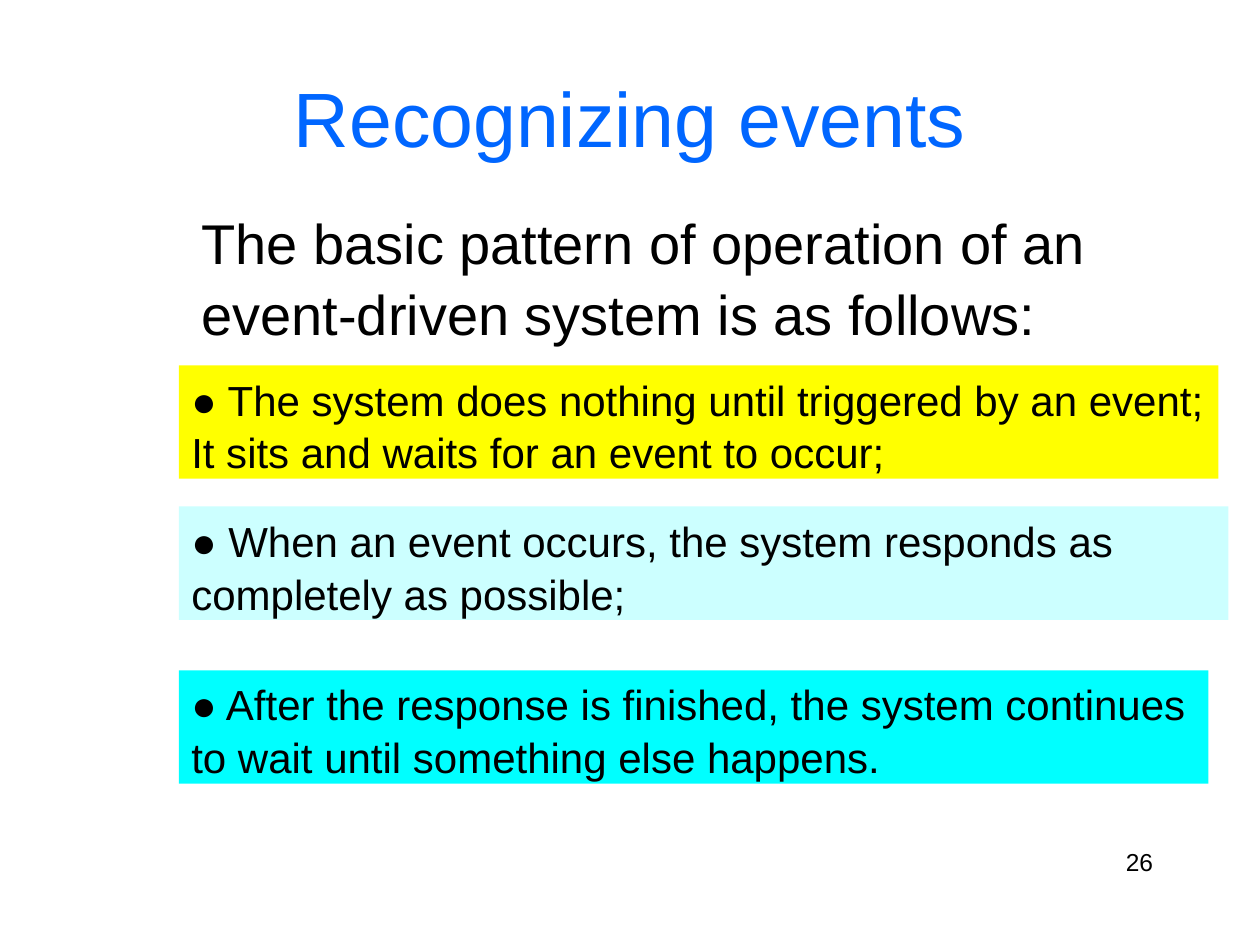
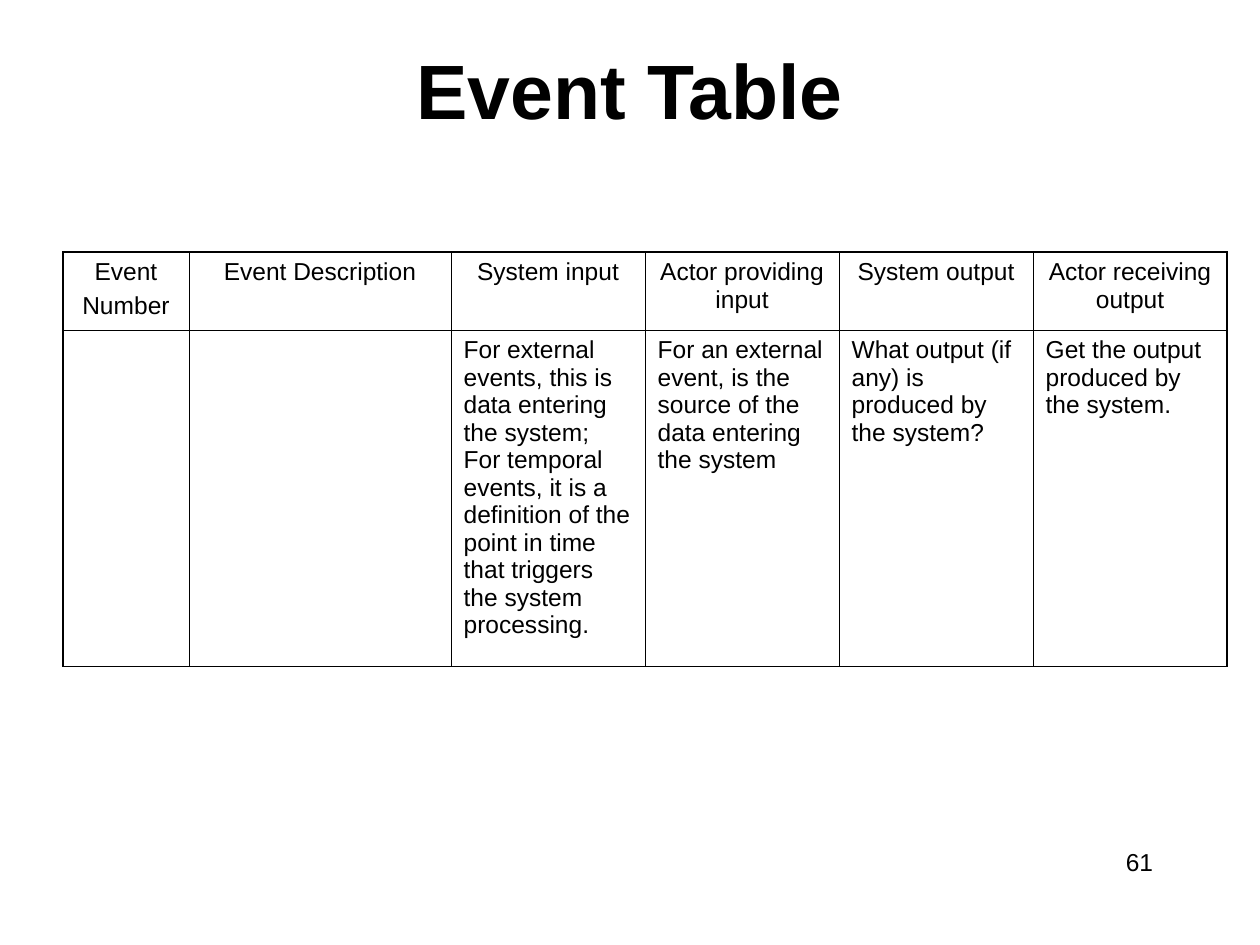
"""Build two slides on recognizing events and the event table."""
from lxml import etree
from pptx import Presentation
from pptx import util as u
from pptx.dml.color import RGBColor
from pptx.enum import shapes, text
from pptx.oxml.ns import qn

FONT = "Arial"
COLORS = {
    "ink": "000000",
    "heading": "0066FF",
    "waiting": "FFFF00",
    "responding": "CCFFFF",
    "resuming": "00FFFF",
}
ALIGN = text.PP_ALIGN
ANCHOR = text.MSO_ANCHOR
OUTER_LINE, INNER_LINE = 1.08, 0.45

STEPS = [
    (2.9, 8.25, "waiting", "● The system does nothing until triggered by an event; "
     "It sits and waits for an event to occur;"),
    (4.02, 8.33, "responding", "● When an event occurs, the system responds as "
     "completely as possible;"),
    (5.32, 8.17, "resuming", "● After the response is finished, the system continues "
     "to wait until something else happens."),
]
COLUMN_WIDTHS = [1, 2.08] + [1.54] * 4
ROW_HEIGHTS = [0.62, 2.67]
EVENT_ROWS = [
    ["Event\nNumber", "Event Description", "System input",
     "Actor providing input", "System output", "Actor receiving output"],
    ["", "",
     "For external events, this is data entering the system; For temporal events, "
     "it is a definition of the point in time that triggers the system processing.",
     "For an external event, is the source of the data entering the system",
     "What output (if any) is produced by the system?",
     "Get the output produced by the system."],
]


def write(frame, content, size=14, color="ink", bold=False, align=ALIGN.LEFT,
          anchor=ANCHOR.TOP, before=0, spacing=1.0):
    """Fill a text frame with one paragraph for each line of content."""
    frame.word_wrap = True
    frame.vertical_anchor = anchor
    for index, line in enumerate(content.split("\n")):
        para = frame.paragraphs[0] if index == 0 else frame.add_paragraph()
        para.alignment = align
        para.space_before = u.Pt(before)
        para.line_spacing = spacing
        span = para.add_run()
        span.text = line
        span.font.name = FONT
        span.font.size = u.Pt(size)
        span.font.bold = bold
        span.font.color.rgb = RGBColor.from_string(COLORS[color])


def add_page(deck, title, title_area, number, **title_format):
    """Add a page with its title and page number."""
    page = deck.slides.add_slide(deck.slide_layouts[5])
    heading = page.shapes.title
    heading.left, heading.top, heading.width, heading.height = map(u.Inches, title_area)
    heading.text_frame.auto_size = text.MSO_AUTO_SIZE.NONE
    write(heading.text_frame, title, size=44, align=ALIGN.CENTER,
          anchor=ANCHOR.MIDDLE, **title_format)
    add_text(page, str(number), (6.92, 6.67, 2.33, 0.52), align=ALIGN.RIGHT)
    return page


def add_text(page, content, area, **text_format):
    """Add a plain text box."""
    box = page.shapes.add_textbox(*map(u.Inches, area))
    write(box.text_frame, content, **text_format)


def add_step(page, top, width, color, content):
    """Add a coloured band that holds one step of the pattern."""
    band = page.shapes.add_shape(
        shapes.MSO_SHAPE.RECTANGLE,
        u.Inches(1.42), u.Inches(top), u.Inches(width), u.Inches(0.9))
    band.shadow.inherit = False
    band.fill.solid()
    band.fill.fore_color.rgb = RGBColor.from_string(COLORS[color])
    band.line.fill.background()
    write(band.text_frame, content, size=24, spacing=1.05)


def set_borders(cell, **widths):
    """Draw the cell's borders, with widths in points by side: L, R, T, B."""
    properties = cell._tc.get_or_add_tcPr()
    for index, (side, width) in enumerate(widths.items()):
        line = etree.Element(qn(f"a:ln{side}"), w=str(int(u.Pt(width))))
        fill = etree.SubElement(line, qn("a:solidFill"))
        etree.SubElement(fill, qn("a:srgbClr"), val=COLORS["ink"])
        properties.insert(index, line)


def add_event_table(page):
    """Add the event table with a heavier outer frame."""
    table = page.shapes.add_table(
        len(ROW_HEIGHTS), len(COLUMN_WIDTHS), u.Inches(0.5), u.Inches(2),
        u.Inches(sum(COLUMN_WIDTHS)), u.Inches(sum(ROW_HEIGHTS))).table
    table.first_row = table.horz_banding = False
    for column, width in zip(table.columns, COLUMN_WIDTHS):
        column.width = u.Inches(width)
    last_row, last_column = len(ROW_HEIGHTS) - 1, len(COLUMN_WIDTHS) - 1
    for r, contents in enumerate(EVENT_ROWS):
        table.rows[r].height = u.Inches(ROW_HEIGHTS[r])
        for c, content in enumerate(contents):
            cell = table.cell(r, c)
            cell.fill.background()
            edges = {"L": c == 0, "R": c == last_column, "T": r == 0, "B": r == last_row}
            set_borders(cell, **{side: OUTER_LINE if outer else INNER_LINE
                                 for side, outer in edges.items()})
            if content:
                write(cell.text_frame, content, before=3.5,
                      align=ALIGN.CENTER if r == 0 else ALIGN.LEFT)


def main():
    """Build and save the deck."""
    deck = Presentation()
    deck.slide_width, deck.slide_height = u.Inches(10), u.Inches(7.5)

    pattern = add_page(deck, "Recognizing events", (0.5, 0.3, 9, 1.25), 26, color="heading")
    add_text(pattern, "The basic pattern of operation of an event-driven system is as follows:",
             (1.5, 1.58, 8, 1.17), size=32, spacing=1.05)
    for step in STEPS:
        add_step(pattern, *step)

    events = add_page(deck, "Event Table", (0.75, 0.33, 8.5, 0.75), 61, bold=True)
    add_event_table(events)
    deck.save("out.pptx")


if __name__ == "__main__":
    main()
